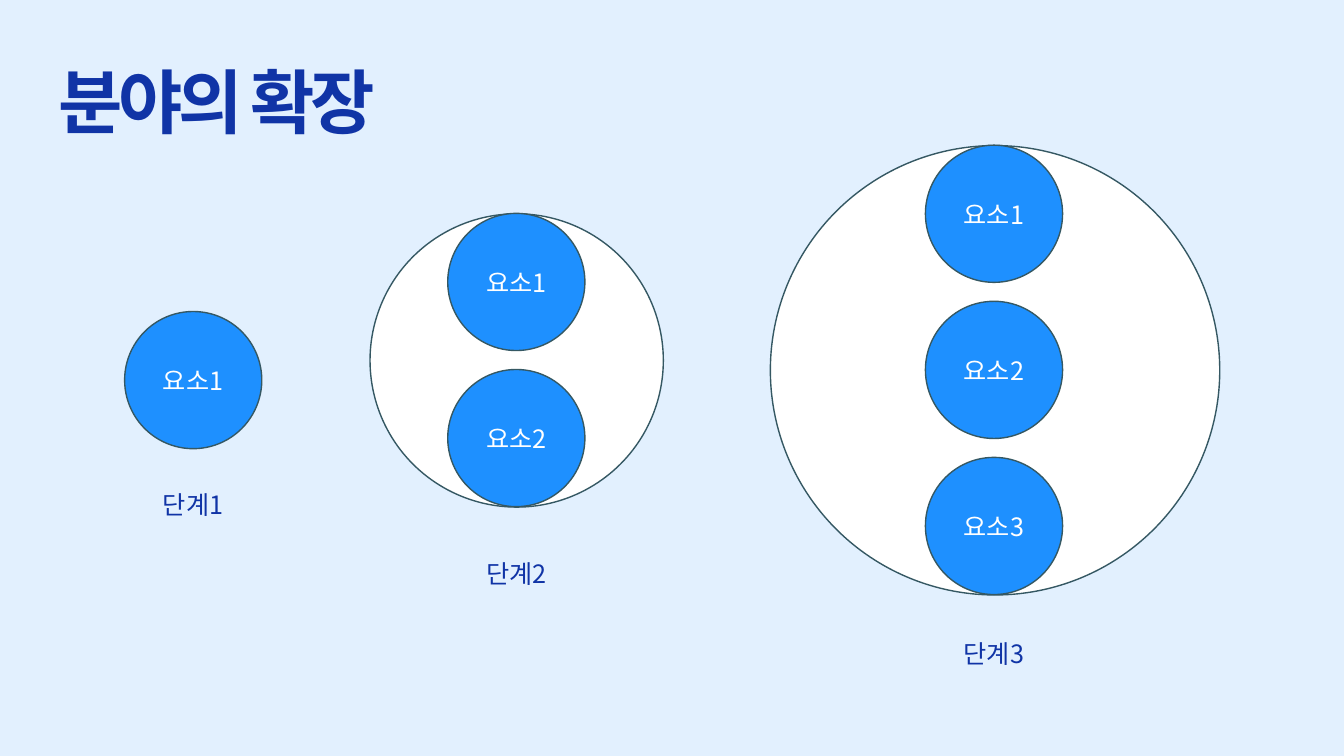
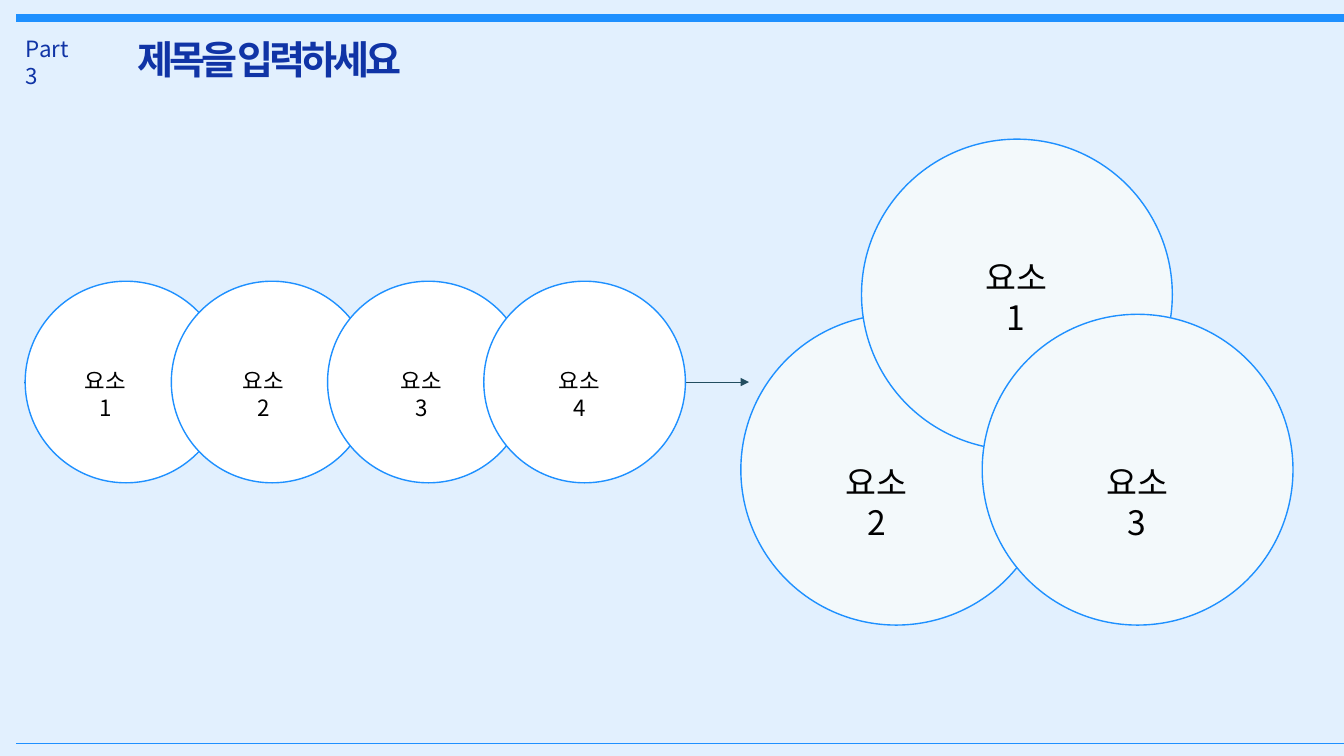
from dataclasses import dataclass
from lxml.etree import SubElement
from pptx import Presentation
from pptx.dml.color import RGBColor as RGB
from pptx.enum.shapes import MSO_CONNECTOR as Line, MSO_SHAPE as Shape
from pptx.enum.text import MSO_AUTO_SIZE as Fit, PP_ALIGN as Align
from pptx.oxml.ns import qn
from pptx.util import Pt


@dataclass(frozen=True)
class Theme:
    font: str = "Noto Sans CJK KR"
    back: RGB = RGB.from_string("E2F0FE")
    navy: RGB = RGB.from_string("1034A6")
    blue: RGB = RGB.from_string("1E90FF")
    slate: RGB = RGB.from_string("355863")
    teal: RGB = RGB.from_string("224D60")
    pale: RGB = RGB.from_string("F3F9FB")
    white: RGB = RGB.from_string("FFFFFF")
    black: RGB = RGB.from_string("000000")
    cover: int = 50
    title: int = 28
    large: int = 24
    label: int = 18
    small: int = 16
    tight: int = -300  # hundredths of a point


T = Theme()


def circle(slide, left, top, size, fill, edge):
    disc = slide.shapes.add_shape(Shape.OVAL, Pt(left), Pt(top), Pt(size), Pt(size))
    disc.shadow.inherit = False
    disc.fill.solid()
    disc.fill.fore_color.rgb = fill
    disc.line.color.rgb = edge
    disc.line.width = Pt(1)


def write(slide, text, left, top, width, size, color, align=Align.CENTER, head=False):
    """Add one line of text; head makes it bold and tightly spaced."""
    box = slide.shapes.add_textbox(Pt(left), Pt(top), Pt(width), Pt(size * 1.2 + 7.2))
    frame = box.text_frame
    frame.word_wrap = True
    frame.auto_size = Fit.SHAPE_TO_FIT_TEXT
    para = frame.paragraphs[0]
    para.alignment = align
    run = para.add_run()
    run.text = text
    font = run.font
    font.name, font.size, font.color.rgb = T.font, Pt(size), color
    props = run._r.get_or_add_rPr()
    SubElement(props, qn("a:ea"), typeface=T.font)
    if head:
        font.bold = True
        props.set("spc", str(T.tight))


prs = Presentation()
prs.slide_width, prs.slide_height = Pt(960), Pt(540)
ground = prs.slide_master.background.fill
ground.solid()
ground.fore_color.rgb = T.back
blank = prs.slide_layouts[6]

# Slide 1: each stage holds one more element
slide = prs.slides.add_slide(blank)
write(slide, "분야의 확장", 34.5, 38, 384, T.cover, T.navy, Align.LEFT, True)
DISC, STEP, WIDE = 98, 111.5, 133
stages = [  # centre, top, left of the outer circle, caption top
    (138, 222.5, None, 346.3),
    (368.8, 152.4, 264.3, 395.3),
    (710, 103.7, 550.3, 452.2),
]
for count, (mid, top, outer, foot) in enumerate(stages, 1):
    if outer is not None:
        circle(slide, outer, top + 0.3, DISC + STEP * (count - 1), T.white, T.slate)
    for i in range(count):
        y = top + i * STEP
        circle(slide, mid - DISC / 2, y, DISC, T.blue, T.slate)
        write(slide, f"요소{i + 1}", mid - WIDE / 2, y + 35, WIDE, T.label, T.white)
    write(slide, f"단계{count}", mid - WIDE / 2, foot, WIDE, T.label, T.navy)

# Slide 2: a chain of elements leads to a cluster
slide = prs.slides.add_slide(blank)
write(slide, "Part 3", 11.5, 21.6, 53.3, T.small, T.navy, Align.LEFT)
write(slide, "제목을 입력하세요", 91.4, 21.6, 219.6, T.title, T.navy, Align.LEFT, True)

LOW, HIGH = 224.5, 99.4
for i, top in enumerate((LOW, HIGH, LOW)):
    circle(slide, 529.2 + i * 86.2, top, 222, T.pale, T.blue)

rules = [  # start, end, height, colour, weight
    (11.5, 960, 12.7, T.blue, 6),
    (11.5, 960, 530.6, T.blue, 0.25),
    (17.3, 535, 272.9, T.teal, 0.5),
]
for start, end, y, color, weight in rules:
    rule = slide.shapes.add_connector(Line.STRAIGHT, Pt(start), Pt(y), Pt(end), Pt(y))
    rule.line.color.rgb = color
    rule.line.width = Pt(weight)
    SubElement(rule._element.spPr, qn("a:effectLst"))
    if color == T.teal:
        SubElement(rule.line._get_or_add_ln(), qn("a:tailEnd"), type="triangle")

for left in (18, 122.4, 234, 345.6):
    circle(slide, left, 200.9, 144, T.white, T.blue)
for i in range(4):
    write(slide, f"요소 {i + 1}", 48.3 + i * 112.8, 258.5, 54, T.small, T.black)
for i, (mid, top) in enumerate([(725.8, 180), (626, 326.2), (812.4, 326.2)], 1):
    write(slide, f"요소 {i}", mid - 36, top, 72, T.large, T.black)

prs.save("out.pptx")
